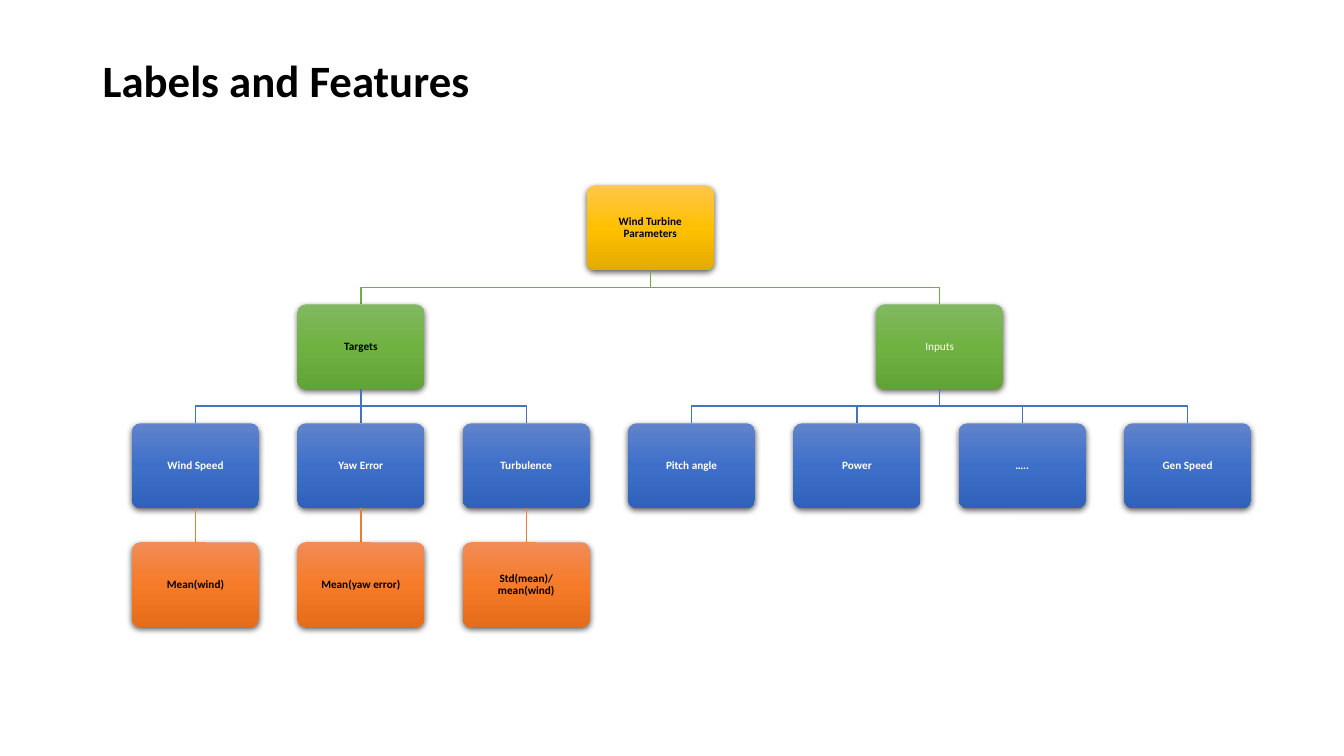
from copy import deepcopy
from dataclasses import dataclass

from lxml import etree
from pptx import Presentation
from pptx.dml.color import RGBColor
from pptx.enum.shapes import MSO_CONNECTOR, MSO_SHAPE
from pptx.enum.text import MSO_ANCHOR, PP_ALIGN
from pptx.oxml.ns import qn
from pptx.shapes.autoshape import Shape
from pptx.slide import Slide
from pptx.util import Inches, Pt

ROUNDED = MSO_SHAPE.ROUNDED_RECTANGLE
STRAIGHT = MSO_CONNECTOR.STRAIGHT
MIDDLE = MSO_ANCHOR.MIDDLE
LEFT, CENTER = PP_ALIGN.LEFT, PP_ALIGN.CENTER

FONT = "Calibri"
BLACK, WHITE = "000000", "FFFFFF"

# Tree grid, in inches
FIRST_CENTER, COLUMN_STEP = 1.94, 1.64
FIRST_TOP, LEVEL_STEP = 1.84, 1.18
BOX_WIDTH, BOX_HEIGHT = 1.26, 0.84


@dataclass(frozen=True)
class Level:
    gradient: tuple[str, str, str]
    branch: str = ""


@dataclass(frozen=True)
class Node:
    label: str
    column: float
    color: str = WHITE
    bold: bool = True
    children: tuple["Node", ...] = ()


LEVELS = (
    Level(("FFC64B", "FFC000", "E3AB00")),
    Level(("81B861", "6FB242", "62A336"), "70AD47"),
    Level(("6183CB", "3E70CA", "3062BB"), "4472C4"),
    Level(("F18C57", "F67B28", "E56C19"), "ED7D31"),
)

TARGETS = Node("Targets", 1, BLACK, children=(
    Node("Wind Speed", 0, children=(Node("Mean(wind)", 0, BLACK),)),
    Node("Yaw Error", 1, children=(Node("Mean(yaw error)", 1, BLACK),)),
    Node("Turbulence", 2, children=(Node("Std(mean)/mean(wind)", 2, BLACK),)),
))
INPUTS = Node("Inputs", 4.5, bold=False, children=(
    Node("Pitch angle", 3),
    Node("Power", 4),
    Node("…..", 5),
    Node("Gen Speed", 6),
))
PARAMETERS = Node("Wind Turbine Parameters", 2.75, BLACK, children=(TARGETS, INPUTS))


def rgb(value: str) -> RGBColor:
    return RGBColor.from_string(value)


def write_text(shape: Shape, text: str, *, size: float, color: str, bold: bool = True,
               align: PP_ALIGN = CENTER, inset: float = 0.06) -> None:
    frame = shape.text_frame
    frame.word_wrap = True
    frame.vertical_anchor = MIDDLE
    frame.margin_left = frame.margin_right = Inches(inset)
    frame.margin_top = frame.margin_bottom = Inches(0.05)
    paragraph = frame.paragraphs[0]
    paragraph.alignment = align
    paragraph.line_spacing = 0.9
    run = paragraph.add_run()
    run.text = text
    run.font.name = FONT
    run.font.size = Pt(size)
    run.font.bold = bold
    run.font.color.rgb = rgb(color)


def fill_gradient(shape: Shape, colors: tuple[str, str, str]) -> None:
    shape.fill.gradient()
    shape.fill.gradient_angle = 270
    stop_list = next(shape._element.spPr.iter(qn("a:gsLst")))
    stop_list.append(deepcopy(stop_list[-1]))
    for index, stop in enumerate(shape.fill.gradient_stops):
        stop.position = index / 2
        stop.color.rgb = rgb(colors[index])


def add_shadow(shape: Shape) -> None:
    shape.shadow.inherit = False
    effects = shape._element.spPr.find(qn("a:effectLst"))
    outer = etree.SubElement(effects, qn("a:outerShdw"), blurRad=str(Pt(4.5)),
                             dist=str(Pt(1.5)), dir="5400000", algn="ctr", rotWithShape="0")
    tint = etree.SubElement(outer, qn("a:srgbClr"), val=BLACK)
    etree.SubElement(tint, qn("a:alpha"), val="63000")


def center_of(node: Node) -> float:
    return FIRST_CENTER + COLUMN_STEP * node.column


def top_of(depth: int) -> float:
    return FIRST_TOP + LEVEL_STEP * depth


def draw_box(slide: Slide, node: Node, depth: int) -> None:
    box = slide.shapes.add_shape(
        ROUNDED, Inches(center_of(node) - BOX_WIDTH / 2), Inches(top_of(depth)),
        Inches(BOX_WIDTH), Inches(BOX_HEIGHT))
    box.adjustments[0] = 0.1
    box.line.fill.background()
    fill_gradient(box, LEVELS[depth].gradient)
    add_shadow(box)
    write_text(box, node.label, size=8, color=node.color, bold=node.bold)


def draw_branch(slide: Slide, parent: Node, child: Node, depth: int) -> None:
    """Link a parent to a child whose level is depth."""
    start_x, end_x = Inches(center_of(parent)), Inches(center_of(child))
    end_y = Inches(top_of(depth))
    start_y = Inches(top_of(depth - 1) + BOX_HEIGHT)
    if parent.column == child.column:
        branch = slide.shapes.add_connector(STRAIGHT, start_x, start_y, end_x, end_y)
        etree.SubElement(branch._element.spPr, qn("a:effectLst"))
    else:
        bend_y = (start_y + end_y) // 2
        outline = slide.shapes.build_freeform(start_x, start_y)
        outline.add_line_segments(
            [(start_x, bend_y), (end_x, bend_y), (end_x, end_y)], close=False)
        branch = outline.convert_to_shape()
        branch.fill.background()
        branch.shadow.inherit = False
    branch.line.color.rgb = rgb(LEVELS[depth].branch)
    branch.line.width = Pt(1)


def draw_tree(slide: Slide, node: Node, depth: int = 0) -> None:
    draw_box(slide, node, depth)
    for child in node.children:
        draw_branch(slide, node, child, depth + 1)
        draw_tree(slide, child, depth + 1)


def main() -> None:
    deck = Presentation()
    deck.slide_width, deck.slide_height = Inches(13.33), Inches(7.5)
    slide = deck.slides.add_slide(deck.slide_layouts[6])

    # Heading
    heading = slide.shapes.add_textbox(Inches(0.92), Inches(0.4), Inches(11.5), Inches(0.85))
    write_text(heading, "Labels and Features", size=32, color=BLACK, align=LEFT, inset=0.1)

    # Parameter tree
    draw_tree(slide, PARAMETERS)
    deck.save("out.pptx")


if __name__ == "__main__":
    main()
